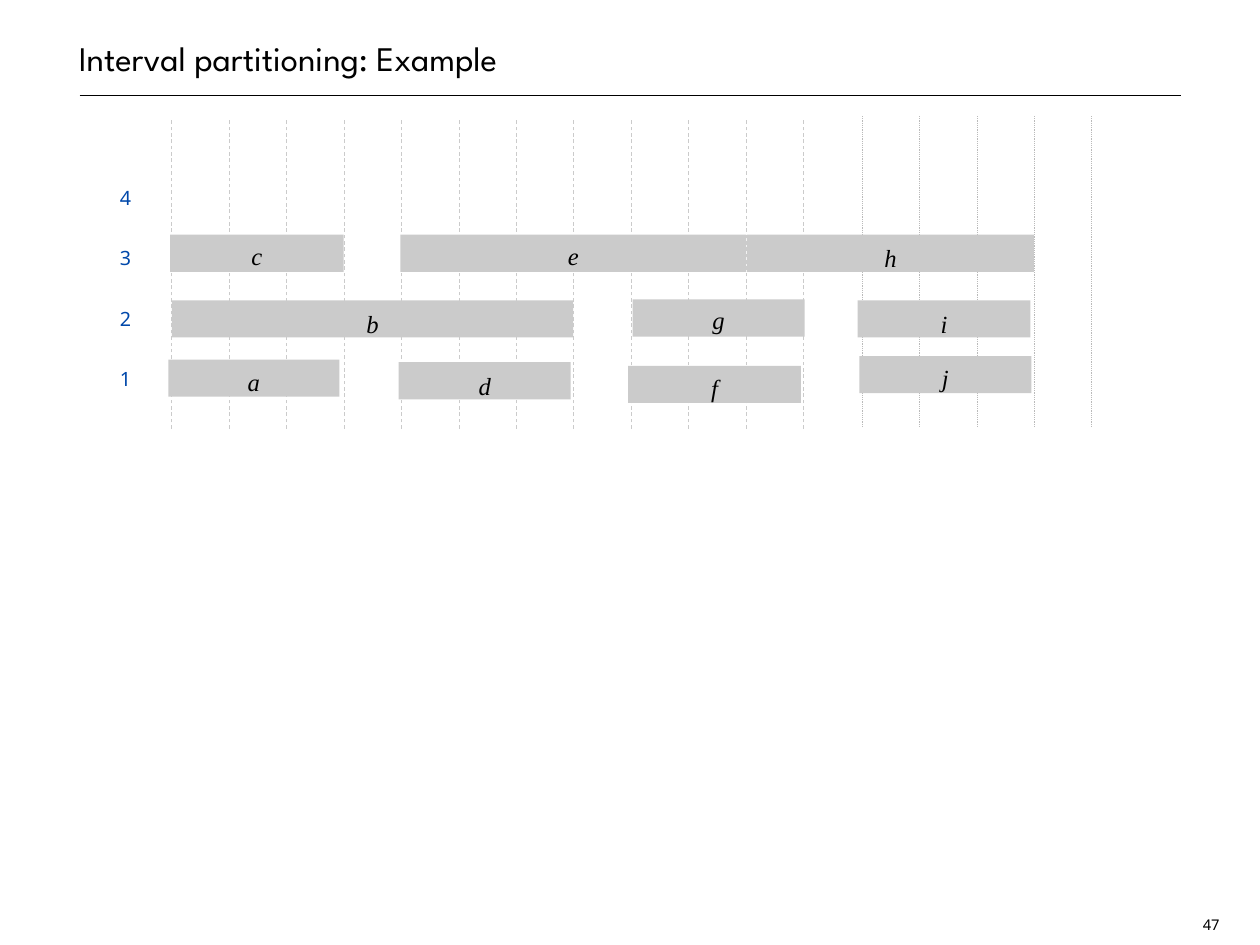
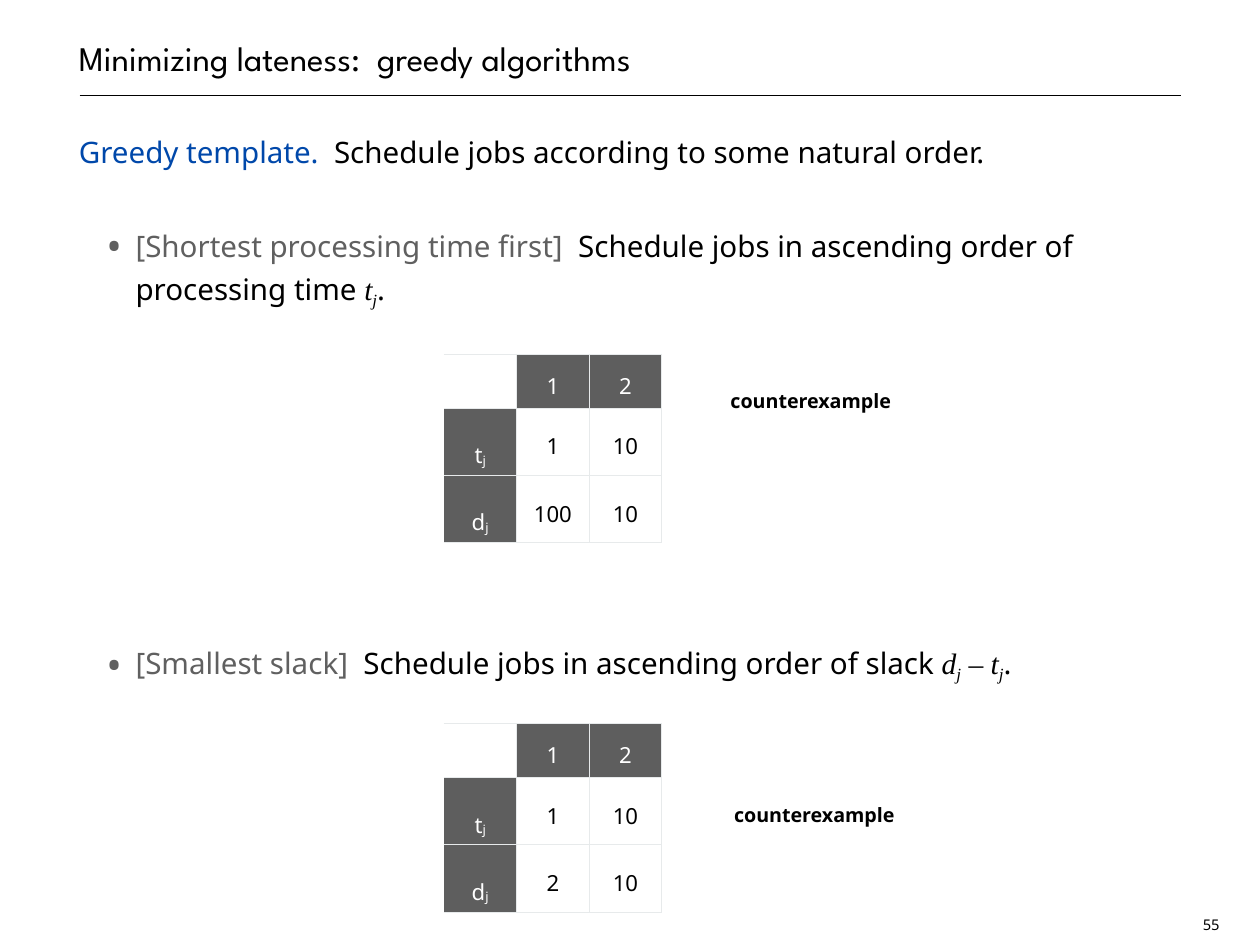
from pptx import Presentation
from pptx.dml.color import RGBColor
from pptx.enum.dml import MSO_LINE
from pptx.enum.shapes import MSO_CONNECTOR, MSO_SHAPE
from pptx.enum.text import MSO_ANCHOR, MSO_AUTO_SIZE, PP_ALIGN
from pptx.oxml.ns import qn
from pptx.util import Inches, Pt
from lxml import etree

STRAIGHT = MSO_CONNECTOR.STRAIGHT
RECTANGLE = MSO_SHAPE.RECTANGLE
TOP, MIDDLE, BOTTOM = MSO_ANCHOR.TOP, MSO_ANCHOR.MIDDLE, MSO_ANCHOR.BOTTOM
LEFT, CENTER = PP_ALIGN.LEFT, PP_ALIGN.CENTER
GROW = MSO_AUTO_SIZE.SHAPE_TO_FIT_TEXT
DASH, DOT = MSO_LINE.DASH, MSO_LINE.ROUND_DOT

COLOURS = {
    "black": "000000", "white": "FFFFFF", "blue": "0048AA", "bar": "CBCBCB",
    "dots": "BABABA", "grey": "606060", "header": "5E5E5E", "border": "E7EAEB",
}
SANS, SERIF = "Noto Sans", "Times New Roman"

# Text looks: font attributes plus a colour name and a baseline shift in percent
TITLE = {"size": Pt(28), "name": "League Spartan", "colour": "black"}
NUMBER = {"size": Pt(12), "name": SANS, "colour": "black"}
BODY = {"size": Pt(24), "name": SANS, "colour": "black"}
LEAD = {**BODY, "colour": "blue"}
RULE = {**BODY, "colour": "grey"}
MATH = {**BODY, "name": SERIF}
SYMBOL = {**MATH, "italic": True}
INDEX = {**SYMBOL, "baseline": -20}
JOB = {"size": Pt(20), "name": SERIF, "italic": True, "colour": "black"}
ROOM = {"size": Pt(16), "name": SANS, "colour": "blue"}
REMARK = {"size": Pt(16), "name": SANS, "bold": True, "colour": "black"}
VALUE = {"size": Pt(18), "name": SANS, "colour": "black"}
HEAD = {**VALUE, "colour": "white"}
HEAD_INDEX = {**HEAD, "baseline": -6}


def rgb(name):
    return RGBColor.from_string(COLOURS[name])


class Deck:
    def __init__(self):
        self.deck = Presentation()
        self.deck.slide_width, self.deck.slide_height = Inches(14.22), Inches(10.67)
        self.page = None

    def add_page(self, title, number):
        """Start a slide with its title, rule and page number."""
        self.page = self.deck.slides.add_slide(self.deck.slide_layouts[6])
        self.line(0.9, 1.08, 13.33, 1.08, "black", 1)
        self.text(0.89, 0, 12.44, 0.89, [(title, TITLE)], anchor=BOTTOM, spacing=Pt(38))
        self.text(13.52, 10.3, 0.3, 0.24, [(str(number), NUMBER)], align=CENTER,
                  spacing=Pt(14), inset=0.04, grow=True)

    def line(self, x1, y1, x2, y2, colour, width, dash=None):
        line = self.page.shapes.add_connector(
            STRAIGHT, Inches(x1), Inches(y1), Inches(x2), Inches(y2))
        line.line.color.rgb = rgb(colour)
        line.line.width = Pt(width)
        if dash:
            line.line.dash_style = dash
        etree.SubElement(line._element.spPr, qn("a:effectLst"))

    def frame(self, frame, anchor, insets):
        """Set anchor and left, top, right and bottom insets."""
        frame.vertical_anchor = anchor
        for side, inset in zip(("left", "top", "right", "bottom"), insets):
            setattr(frame, "margin_" + side, Inches(inset))

    def fill_paragraph(self, para, spans, align=LEFT, spacing=1.3, before=0):
        para.alignment = align
        para.line_spacing = spacing
        para.space_before = Pt(before)
        for text, look in spans:
            span = para.add_run()
            span.text = text
            for key, value in look.items():
                if key == "colour":
                    span.font.color.rgb = rgb(value)
                elif key == "baseline":
                    span._r.get_or_add_rPr().set("baseline", str(value * 1000))
                else:
                    setattr(span.font, key, value)

    def text(self, x, y, width, height, spans, align=LEFT, anchor=TOP,
             spacing=1.3, inset=0, grow=False):
        box = self.page.shapes.add_textbox(
            Inches(x), Inches(y), Inches(width), Inches(height))
        frame = box.text_frame
        frame.word_wrap = not grow
        if grow:
            frame.auto_size = GROW
        self.frame(frame, anchor, [inset] * 4)
        self.fill_paragraph(frame.paragraphs[0], spans, align, spacing)
        return frame

    def bullet(self, frame, spans, before):
        para = frame.add_paragraph()
        props = para._p.get_or_add_pPr()
        props.set("marL", str(Inches(0.64)))
        props.set("indent", str(Inches(-0.33)))
        marks = [("buSzPct", "val", "140000"), ("buFont", "typeface", SANS),
                 ("buChar", "char", "•")]
        for tag, key, value in marks:
            etree.SubElement(props, qn("a:" + tag)).set(key, value)
        self.fill_paragraph(para, spans, spacing=Pt(38), before=before)

    def bar(self, name, x, y, width, drop):
        """Draw a job bar, its letter set down by drop."""
        bar = self.page.shapes.add_shape(
            RECTANGLE, Inches(x), Inches(y), Inches(width), Inches(0.42))
        bar.shadow.inherit = False
        bar.fill.solid()
        bar.fill.fore_color.rgb = rgb("bar")
        bar.line.fill.background()
        self.frame(bar.text_frame, TOP, (0, drop, 0, 0))
        self.fill_paragraph(bar.text_frame.paragraphs[0], [(name, JOB)], CENTER, 1.1)

    def borders(self, cell, open_left):
        props = cell._tc.get_or_add_tcPr()
        for place, side in enumerate("LRTB"):
            edge = etree.Element(qn("a:ln" + side), w=str(Pt(1)))
            if side == "L" and open_left:
                etree.SubElement(edge, qn("a:noFill"))
            else:
                fill = etree.SubElement(edge, qn("a:solidFill"))
                etree.SubElement(fill, qn("a:srgbClr")).set("val", COLOURS["border"])
            props.insert(place, edge)

    def job_table(self, y, times, deadlines):
        """Draw processing times and deadlines of the jobs, numbered from 1."""
        rows = [("", *range(1, len(times) + 1)), ("t", *times), ("d", *deadlines)]
        table = self.page.shapes.add_table(
            3, 3, Inches(5.01), Inches(y), Inches(2.46), Inches(1.83)).table
        table.first_row = table.horz_banding = False
        for column in table.columns:
            column.width = Inches(0.82)
        for r, row in enumerate(rows):
            table.rows[r].height = Inches(0.61)
            for c, value in enumerate(row):
                cell = table.cell(r, c)
                self.frame(cell, MIDDLE, [0.06] * 4)
                self.borders(cell, open_left=c == 0)
                if r == c == 0:
                    cell.fill.background()
                    continue
                heading = r == 0 or c == 0
                cell.fill.solid()
                cell.fill.fore_color.rgb = rgb("header" if heading else "white")
                spans = [(str(value), HEAD if heading else VALUE)]
                if c == 0:
                    spans.append(("j", HEAD_INDEX))
                self.fill_paragraph(cell.text_frame.paragraphs[0], spans, CENTER,
                                    Pt(46) if c == 0 else 1.3)

    def remark(self, x, y):
        self.text(x, y, 1.84, 0.25, [("counterexample", REMARK)], CENTER, grow=True)


def interval_page(deck):
    deck.add_page("Interval partitioning: Example", 47)
    # Time grid
    grids = [(1.94, 12, 1.33, "bar", DASH), (9.73, 5, 1.31, "dots", DOT)]
    for start, count, top, colour, dash in grids:
        for step in range(count):
            x = start + 0.648 * step
            deck.line(x, top + 3.51, x, top, colour, 0.75, dash)
    # Jobs: name, left, top, width, letter drop
    jobs = [
        ("h", 8.43, 2.65, 3.24, 0.06), ("c", 1.92, 2.65, 1.96, 0.04),
        ("b", 1.94, 3.39, 4.53, 0.06), ("a", 1.9, 4.06, 1.93, 0.05),
        ("e", 4.52, 2.65, 3.9, 0.04), ("d", 4.5, 4.09, 1.94, 0.06),
        ("g", 7.14, 3.38, 1.94, 0.03), ("f", 7.09, 4.13, 1.95, 0.05),
        ("i", 9.68, 3.39, 1.95, 0.06), ("j", 9.7, 4.02, 1.94, 0.04),
    ]
    for job in jobs:
        deck.bar(*job)
    # Room numbers, from the bottom up
    for room in range(4):
        deck.text(1.34, 4.06 - 0.68 * room, 0.15, 0.2, [(str(room + 1), ROOM)],
                  CENTER, grow=True)


def lateness_page(deck):
    deck.add_page("Minimizing lateness:  greedy algorithms", 55)
    # Greedy rules
    frame = deck.text(0.89, 1.39, 12.44, 8.94, [
        ("Greedy template.  ", LEAD),
        ("Schedule jobs according to some natural order.", BODY)], spacing=Pt(38))
    deck.bullet(frame, [
        ("[Shortest processing time first]", RULE),
        ("  Schedule jobs in ascending order of processing time ", BODY),
        ("t", SYMBOL), ("j", INDEX), (".", BODY)], before=38)
    deck.bullet(frame, [
        ("[Smallest slack]", RULE),
        ("  Schedule jobs in ascending order of slack ", BODY),
        ("d", SYMBOL), ("j", INDEX), (" – ", MATH),
        ("t", SYMBOL), ("j", INDEX), (".", BODY)], before=266)
    # Counterexamples
    deck.remark(8.23, 4.31)
    deck.job_table(4, (1, 10), (100, 10))
    deck.remark(8.27, 8.98)
    deck.job_table(8.17, (1, 10), (2, 10))


def main():
    deck = Deck()
    interval_page(deck)
    lateness_page(deck)
    deck.deck.save("out.pptx")


if __name__ == "__main__":
    main()
